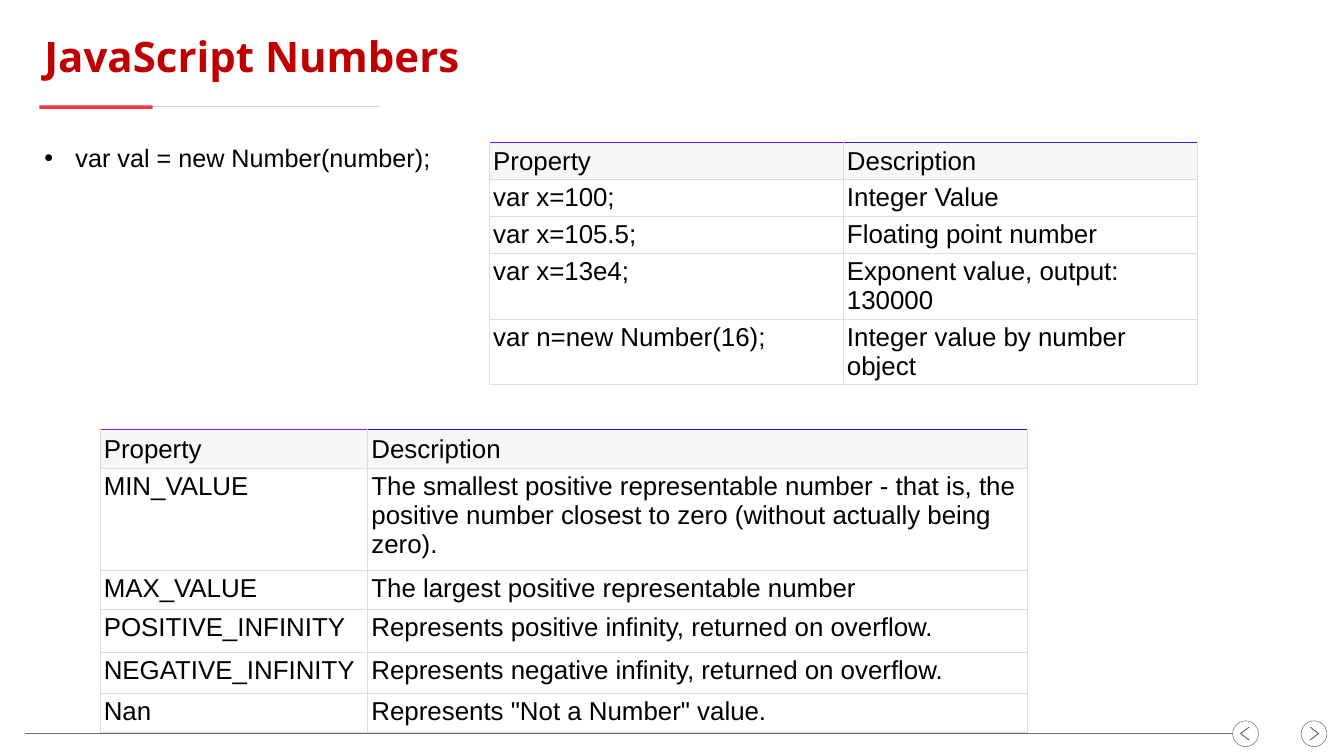
from lxml.etree import SubElement
from pptx import Presentation
from pptx.dml.color import RGBColor
from pptx.enum.shapes import MSO_CONNECTOR, MSO_SHAPE
from pptx.enum.text import MSO_ANCHOR, MSO_AUTO_SIZE, PP_ALIGN
from pptx.oxml import parse_xml
from pptx.oxml.ns import nsdecls, qn
from pptx.util import Cm, Pt

BLACK = RGBColor(0x00, 0x00, 0x00)
WHITE = RGBColor(0xFF, 0xFF, 0xFF)
TITLE_RED = RGBColor(0xC0, 0x00, 0x00)
ACCENT_RED = RGBColor(0xF2, 0x3A, 0x43)
RULE_GREY = RGBColor(0xCB, 0xD0, 0xD7)
NAVIGATION_GREY = RGBColor(0x6C, 0x6C, 0x6C)
HEADER_GREY = RGBColor(0xF7, 0xF7, 0xF7)
BORDER_GREY = RGBColor(0xDD, 0xDD, 0xDD)
VIOLET = RGBColor(0x80, 0x0C, 0xFB)
INDIGO = RGBColor(0x40, 0x0F, 0xFB)
PURPLE = RGBColor(0x70, 0x20, 0xFD)
BLUE = RGBColor(0x10, 0x1A, 0xFD)

MARGIN_LEFT = 1.98
FOOTER_Y = 36.98
BUTTON_SIZE = 1.3
PREVIOUS_X, NEXT_X = 62.13, 65.58

NUMBER_ROWS = [
    ("Property", "Description"),
    ("var x=100;", "Integer Value"),
    ("var x=105.5;", "Floating point number"),
    ("var x=13e4;", "Exponent value, output: 130000"),
    ("var n=new Number(16);", "Integer value by number object"),
]
CONSTANT_ROWS = [
    ("Property", "Description"),
    ("MIN_VALUE", "The smallest positive representable number - that is, the "
                  "positive number closest to zero (without actually being zero)."),
    ("MAX_VALUE", "The largest positive representable number"),
    ("POSITIVE_INFINITY", "Represents positive infinity, returned on overflow."),
    ("NEGATIVE_INFINITY", "Represents negative infinity, returned on overflow."),
    ("Nan", 'Represents "Not a Number" value.'),
]


def format_font(paragraph, name, size, color, bold=False):
    for run in paragraph.runs:
        font = run.font
        font.name, font.size, font.bold = name, Pt(size), bold
        font.color.rgb = color


def fill_placeholder(placeholder, text, left, top, width, height, anchor):
    """Move a placeholder, set its text and return its only paragraph."""
    placeholder.left, placeholder.top = Cm(left), Cm(top)
    placeholder.width, placeholder.height = Cm(width), Cm(height)
    text_frame = placeholder.text_frame
    text_frame.text = text
    text_frame.auto_size = MSO_AUTO_SIZE.NONE
    text_frame.vertical_anchor = anchor
    paragraph = text_frame.paragraphs[0]
    paragraph.alignment = PP_ALIGN.LEFT
    paragraph.space_before = Pt(0)
    return paragraph


def add_bullet(paragraph, indent):
    properties = paragraph._p.get_or_add_pPr()
    properties.set("marL", str(Cm(indent)))
    properties.set("indent", str(-Cm(indent)))
    SubElement(properties, qn("a:buFont")).set("typeface", "Arial")
    SubElement(properties, qn("a:buChar")).set("char", "•")


def add_rule(slide, left, right, y, color, width):
    rule = slide.shapes.add_connector(
        MSO_CONNECTOR.STRAIGHT, Cm(left), Cm(y), Cm(right), Cm(y))
    rule.line.color.rgb = color
    rule.line.width = Pt(width)
    SubElement(rule._element.spPr, qn("a:effectLst"))


def add_filled_shape(shapes, kind, left, top, width, height, color):
    shape = shapes.add_shape(kind, Cm(left), Cm(top), Cm(width), Cm(height))
    shape.shadow.inherit = False
    shape.fill.solid()
    shape.fill.fore_color.rgb = color
    shape.line.fill.background()
    return shape


def add_navigation_button(slide, left, chevron_offset, rotation):
    top = FOOTER_Y - BUTTON_SIZE / 2
    shapes = slide.shapes.add_group_shape().shapes
    circle = shapes.add_shape(MSO_SHAPE.OVAL, Cm(left), Cm(top),
                              Cm(BUTTON_SIZE), Cm(BUTTON_SIZE))
    circle.shadow.inherit = False
    circle.fill.background()
    circle.line.color.rgb = NAVIGATION_GREY
    circle.line.width = Pt(0.75)
    chevron = add_filled_shape(shapes, MSO_SHAPE.CHEVRON, left + chevron_offset,
                               top + 0.31, 0.51, 0.66, NAVIGATION_GREY)
    chevron.adjustments[0] = 0.844
    chevron.rotation = rotation


def set_borders(cell, top_color):
    """Draw the four cell edges; the edge elements must precede the fill."""
    properties = cell._tc.get_or_add_tcPr()
    edges = (("L", BORDER_GREY), ("R", BORDER_GREY), ("T", top_color), ("B", BORDER_GREY))
    for position, (side, color) in enumerate(edges):
        properties.insert(position, parse_xml(
            f'<a:ln{side} {nsdecls("a")} w="{Pt(0.75)}"><a:solidFill>'
            f'<a:srgbClr val="{color}"/></a:solidFill></a:ln{side}>'))


def format_cell(cell, text, is_header, top_color):
    cell.text_frame.text = text
    format_font(cell.text_frame.paragraphs[0], "Arial", 37, BLACK)
    cell.margin_left = cell.margin_right = Cm(0.2)
    cell.margin_top = cell.margin_bottom = Cm(0.2)
    cell.vertical_anchor = MSO_ANCHOR.BOTTOM if is_header else MSO_ANCHOR.TOP
    cell.fill.solid()
    cell.fill.fore_color.rgb = HEADER_GREY if is_header else WHITE
    set_borders(cell, top_color)


def add_property_table(slide, rows, left, top, column_widths, row_heights, header_colors):
    table = slide.shapes.add_table(
        len(rows), len(column_widths), Cm(left), Cm(top),
        Cm(sum(column_widths)), Cm(sum(row_heights))).table
    table.first_row = table.horz_banding = False
    for column, width in zip(table.columns, column_widths):
        column.width = Cm(width)
    for row, height in zip(table.rows, row_heights):
        row.height = Cm(height)
    for row_index, texts in enumerate(rows):
        is_header = row_index == 0
        for column_index, text in enumerate(texts):
            top_color = header_colors[column_index] if is_header else BORDER_GREY
            format_cell(table.cell(row_index, column_index), text, is_header, top_color)


def main():
    presentation = Presentation()
    presentation.slide_width, presentation.slide_height = Cm(67.74), Cm(38.1)
    slide = presentation.slides.add_slide(presentation.slide_layouts[1])

    add_rule(slide, MARGIN_LEFT, 19.1, 5.38, RULE_GREY, 1.5)
    add_filled_shape(slide.shapes, MSO_SHAPE.RECTANGLE,
                     MARGIN_LEFT, 5.31, 5.72, 0.18, ACCENT_RED)
    add_navigation_button(slide, NEXT_X, 0.41, 0)
    add_navigation_button(slide, PREVIOUS_X, 0.36, 180)
    add_rule(slide, 1.24, PREVIOUS_X, FOOTER_Y, NAVIGATION_GREY, 0.75)

    title = fill_placeholder(slide.shapes.title, "JavaScript Numbers",
                             MARGIN_LEFT, 1.5, 63.63, 2.64, MSO_ANCHOR.MIDDLE)
    format_font(title, "Open Sans", 60, TITLE_RED, bold=True)
    syntax = fill_placeholder(slide.placeholders[1], "var val = new Number(number);",
                              MARGIN_LEFT, 6.68, 59.26, 27.64, MSO_ANCHOR.TOP)
    syntax.line_spacing = 1.25
    add_bullet(syntax, 1.57)
    format_font(syntax, "Arial", 36, BLACK)

    add_property_table(slide, NUMBER_ROWS, 24.66, 7.19, [17.83] * 2,
                       [1.3] * len(NUMBER_ROWS), (VIOLET, INDIGO))
    add_property_table(slide, CONSTANT_ROWS, 5.03, 21.62, [13.49, 33.25],
                       [1.98, 5.13, 1.98, 2.16, 2.06, 1.98], (PURPLE, BLUE))
    presentation.save("out.pptx")


if __name__ == "__main__":
    main()
